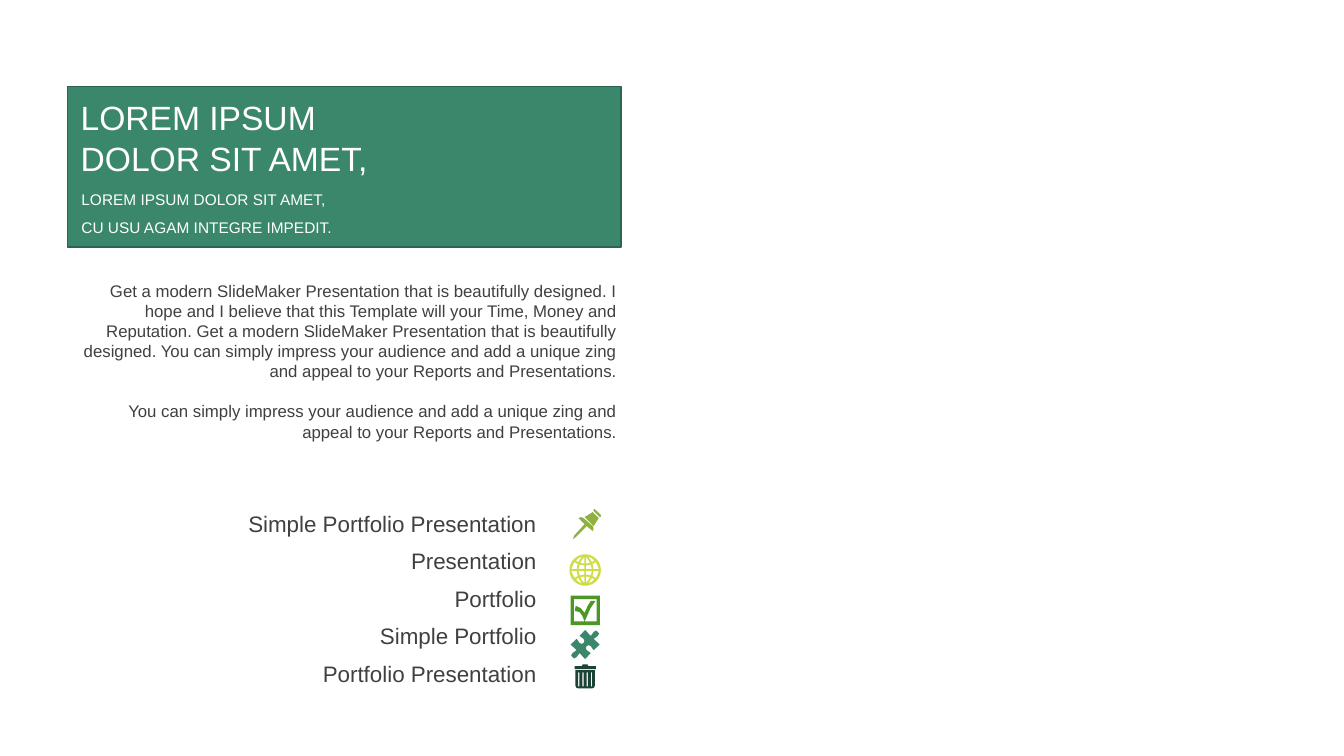
from math import cos, pi, sin

from pptx import Presentation
from pptx.dml.color import RGBColor
from pptx.enum.shapes import MSO_SHAPE
from pptx.enum.text import MSO_ANCHOR, MSO_AUTO_SIZE, PP_ALIGN
from pptx.util import Pt

COLORS = {
    "white": "FFFFFF", "text": "404040", "banner": "3A876B", "border": "2B644F",
    "pin": "90B141", "globe": "CEDD46", "check": "4D9724", "puzzle": "3A876B",
    "trash": "1C4335",
}
TITLE = ["LOREM IPSUM", "DOLOR SIT AMET,"]
SUBTITLE = ["LOREM IPSUM DOLOR SIT AMET,", "CU USU AGAM INTEGRE IMPEDIT."]
BODY = [
    "Get a modern SlideMaker Presentation that is beautifully designed. "
    "I hope and I believe that this Template will your Time, Money and Reputation. "
    "Get a modern SlideMaker Presentation that is beautifully designed. "
    "You can simply impress your audience and add a unique zing and appeal "
    "to your Reports and Presentations.",
    "You can simply impress your audience and add a unique zing and appeal "
    "to your Reports and Presentations.",
]
# label, icon, vertical centre of the icon
ITEMS = [
    ("Simple Portfolio Presentation", "pin", 374.4),
    ("Presentation", "globe", 407.2),
    ("Portfolio", "check", 436),
    ("Simple Portfolio", "puzzle", 460.4),
    ("Portfolio Presentation", "trash", 483.1),
]
ICON_CENTER_X = 418
LABEL_TOP, LABEL_PITCH = 364.3, 26.85

# Outlines are lists of points around the centre of the icon.
PIN = [
    [(-1.1, -4.3), (5.4, 1.4), (6, 3), (5.4, 5), (1.1, 1.4), (-6.8, 9.4),
     (-9, 10.8), (-7.6, 7.9), (-0.4, 0), (-4.7, -4.3), (-3, -5)],
    [(5.4, -8.6), (9.7, -4.3), (6.1, 1.4), (-0.4, -5)],
    [(6.8, -10.8), (11.2, -6.5), (11.4, -5.6), (10.4, -5), (6.1, -9.4), (6, -10.6)],
]
GLOBE_RADIUS = 11.2
GLOBE_PANES = [
    [(0.6, -0.6), (0.6, -3.3), (2.2, -3.5), (3.8, -3.9), (4.5, -2.2), (4.7, -0.6)],
    [(5.9, -0.6), (5.7, -2.4), (5.2, -4.4), (6.4, -4.9), (7.5, -5.8), (8.9, -3.3),
     (9.8, -0.6)],
    [(0.6, -9.2), (0.6, -4.6), (2, -4.8), (3.5, -5.1), (2.3, -7.3)],
    [(1.8, -9.6), (3.5, -7.8), (4.8, -5.6), (5.8, -6.1), (6.6, -6.7), (4.5, -8.6)],
]
CHECK_HOLE = [
    (-8.1, -8.1), (-8.1, 7.9), (-0.4, 7.9), (-2.2, 3.6), (-4, 1.2), (-7.4, 0.4),
    (-6.8, -3.3), (-3.2, -1.6), (-0.4, 1.8), (1.6, -2.9), (4, -6.8), (7.4, -6.8),
    (3.8, -1.6), (-0.4, 7.9), (8.1, 7.9), (8.1, -8.1),
]
PUZZLE_HALF = [
    (7.8, -10), (9, -9), (10, -7.8), (9, -6.1), (6.1, -4), (10.4, 0), (6.1, 4),
    (5, 2.6), (4, 1.1), (2.5, 0.5), (1.1, 1.1), (0.5, 2.5), (1.1, 4), (4, 6.1),
    (0, 10.4), (-4, 6.1), (-6.1, 9),
]
TRASH_BODY = [(-6.9, -4.4), (6.9, -4.4), (6.9, 6.8), (6.3, 8.1), (5, 8.6),
              (-5, 8.6), (-6.3, 8.1), (-6.9, 6.8)]
TRASH_LID = [(-7.6, -7.2), (-2.2, -7.2), (-2.2, -8), (-1.4, -8.6), (1.4, -8.6),
             (2.2, -8), (2.2, -7.2), (7.6, -7.2), (7.6, -5.1), (-7.6, -5.1)]


def box(left, top, right, bottom):
    return [(left, top), (right, top), (right, bottom), (left, bottom)]


def globe_outlines():
    angles = [2 * pi * step / 60 for step in range(60)]
    rim = [(GLOBE_RADIUS * cos(angle), GLOBE_RADIUS * sin(angle)) for angle in angles]
    return [rim] + [[(x * across, y * down) for x, y in pane]
                    for pane in GLOBE_PANES for across in (1, -1) for down in (1, -1)]


ICONS = {
    "pin": PIN,
    "globe": globe_outlines(),
    "check": [box(-10.5, -10.5, 10.5, 10.5), CHECK_HOLE],
    "puzzle": [PUZZLE_HALF + [(-x, -y) for x, y in PUZZLE_HALF]],
    "trash": [TRASH_BODY, TRASH_LID] + [
        box(x - 0.45, -2.9, x + 0.45, 7.2) for x in (-4.6, -1.55, 1.5, 4.55)],
}


def color(name):
    return RGBColor.from_string(COLORS[name])


def place(shape, left, top, width, height):
    shape.left, shape.top, shape.width, shape.height = map(Pt, (left, top, width, height))


def write(shape, lines, size, color_name, align, anchor=MSO_ANCHOR.TOP,
          side_inset=7.2, **paragraph_format):
    frame = shape.text_frame
    frame_format = {
        "word_wrap": True, "auto_size": MSO_AUTO_SIZE.NONE, "vertical_anchor": anchor,
        "margin_left": Pt(side_inset), "margin_right": Pt(side_inset),
        "margin_top": Pt(3.6), "margin_bottom": Pt(3.6),
    }
    for name, value in frame_format.items():
        setattr(frame, name, value)
    for index, line in enumerate(lines):
        paragraph = frame.add_paragraph() if index else frame.paragraphs[0]
        paragraph.alignment = align
        for name, value in paragraph_format.items():
            if index or name != "space_before":
                setattr(paragraph, name, value)
        run = paragraph.add_run()
        run.text = line
        run.font.name, run.font.size = "Arial", Pt(size)
        run.font.color.rgb = color(color_name)


def add_text(slide, area, *args, **formats):
    shape = slide.shapes.add_textbox(*map(Pt, area))
    write(shape, *args, **formats)


def add_icon(slide, name, center_y):
    builder = None
    for outline in ICONS[name]:
        points = [(Pt(ICON_CENTER_X + x), Pt(center_y + y)) for x, y in outline]
        if builder is None:
            builder = slide.shapes.build_freeform(*points[0])
        else:
            builder.move_to(*points[0])
        builder.add_line_segments(points[1:], close=True)
    icon = builder.convert_to_shape()
    icon.shadow.inherit = False
    icon.fill.solid()
    icon.fill.fore_color.rgb = color(name)
    icon.line.fill.background()


def main():
    presentation = Presentation()
    presentation.slide_width, presentation.slide_height = Pt(960), Pt(540)
    slide = presentation.slides.add_slide(presentation.slide_layouts[5])

    banner = slide.shapes.add_shape(MSO_SHAPE.RECTANGLE, *map(Pt, (48.2, 61.9, 395.3, 114.5)))
    banner.shadow.inherit = False
    banner.fill.solid()
    banner.fill.fore_color.rgb = color("banner")
    banner.line.color.rgb = color("border")
    banner.line.width = Pt(1)

    title = slide.shapes.title
    title.element.addprevious(banner.element)
    place(title, 50.4, 65.5, 391, 65.5)
    write(title, TITLE, 24, "white", PP_ALIGN.JUSTIFY, MSO_ANCHOR.MIDDLE)
    add_text(slide, (51.1, 126.7, 391, 44.6), SUBTITLE, 11, "white",
             PP_ALIGN.JUSTIFY, MSO_ANCHOR.MIDDLE, line_spacing=1.5)
    add_text(slide, (45.4, 196.6, 403.9, 123.8), BODY, 12, "text",
             PP_ALIGN.RIGHT, side_inset=8.6, space_before=Pt(14.4))

    for row, (label, icon, center_y) in enumerate(ITEMS):
        add_text(slide, (157.7, LABEL_TOP + row * LABEL_PITCH, 232.6, 23), [label], 16,
                 "text", PP_ALIGN.RIGHT, line_spacing=0.8)
        add_icon(slide, icon, center_y)

    presentation.save("out.pptx")


if __name__ == "__main__":
    main()
